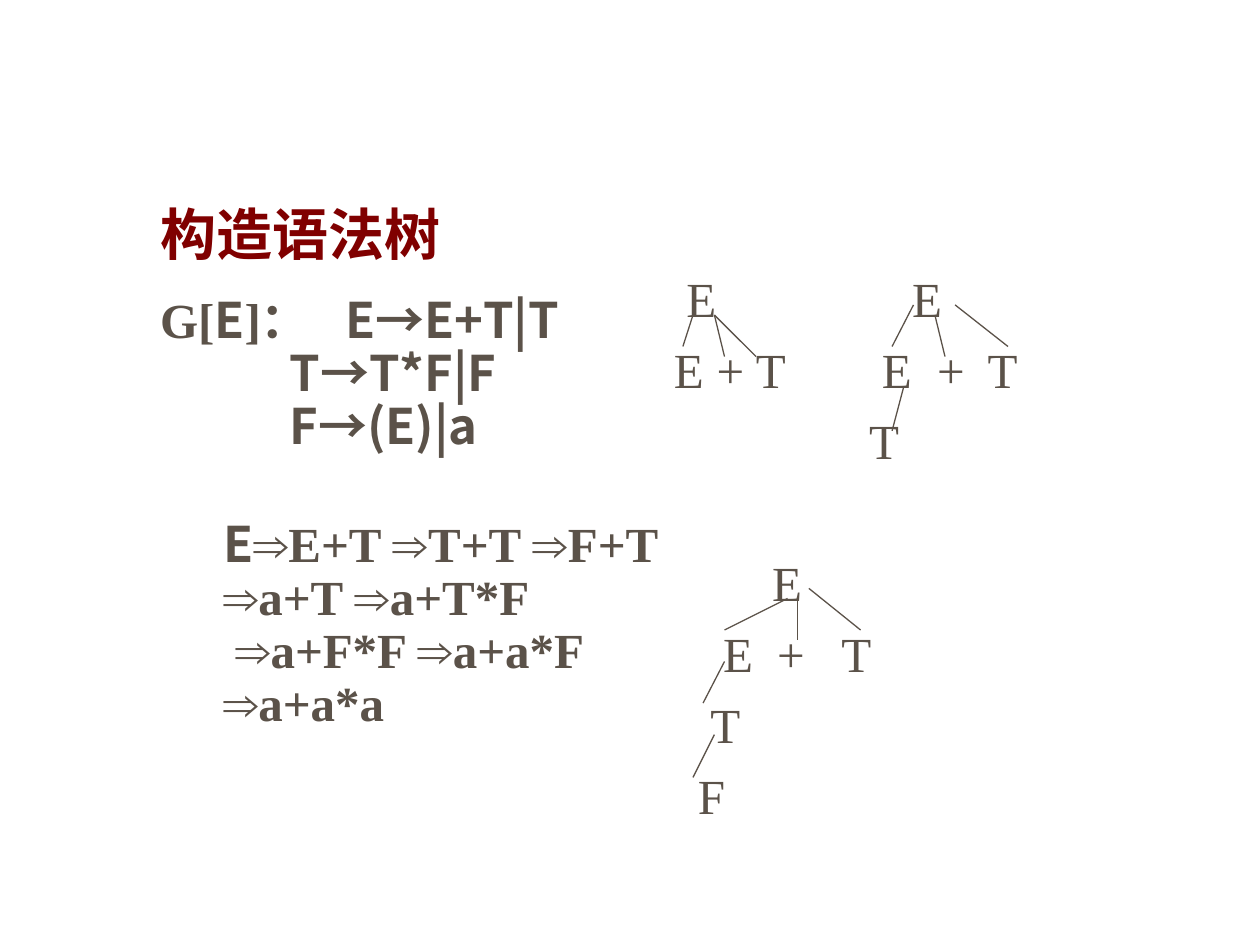
from lxml import etree
from pptx import Presentation
from pptx.dml.color import RGBColor
from pptx.enum.shapes import MSO_CONNECTOR
from pptx.enum.text import MSO_ANCHOR, MSO_AUTO_SIZE, PP_ALIGN
from pptx.oxml.ns import qn
from pptx.util import Inches, Pt

STRAIGHT = MSO_CONNECTOR.STRAIGHT
BOTTOM, TOP = MSO_ANCHOR.BOTTOM, MSO_ANCHOR.TOP
NO_AUTOFIT = MSO_AUTO_SIZE.NONE
LEFT = PP_ALIGN.LEFT

MAROON = RGBColor(0x80, 0x00, 0x00)
BROWN = RGBColor(0x5B, 0x52, 0x49)

SERIF = "Times New Roman"
CJK = "Noto Sans CJK SC"
SANS = "Arial"

TITLE_AND_CONTENT_LAYOUT = 1
TREES_LEFT, TREES_TOP = 5.25, 2.08
ROW_PITCH = 3.95 / 7
NODE_WIDTH = 0.5

# Row number, then the row's nodes as (label, distance from the left edge).
TREE_ROWS = [
    (0, [("E", 0.1), ("E", 1.89)]),
    (1, [("E", 0), ("+", 0.34), ("T", 0.65),
         ("E", 1.65), ("+", 2.09), ("T", 2.49)]),
    (2, [("T", 1.55)]),
    (4, [("E", 0.78)]),
    (5, [("E", 0.39), ("+", 0.82), ("T", 1.33)]),
    (6, [("T", 0.29)]),
    (7, [("F", 0.19)]),
]

BRANCHES = [
    (5.5, 2.5, 5.42, 2.75), (5.67, 2.5, 5.75, 2.83), (5.67, 2.5, 6, 2.83),
    (7.25, 2.42, 7.08, 2.75), (7.42, 2.5, 7.5, 2.83), (7.58, 2.42, 8, 2.75),
    (7.17, 3.08, 7.08, 3.42),
    (6.25, 4.75, 5.75, 5), (6.33, 4.75, 6.33, 5.08), (6.42, 4.67, 6.83, 5),
    (5.75, 5.25, 5.58, 5.58), (5.67, 5.83, 5.5, 6.17),
]

DERIVATION = ["E+T ", "T+T ", "F+T ", "a+T ", "a+T*F\v ",
              "a+F*F ", "a+a*F ", "a+a*a"]


def place(shape, left, top, width, height, anchor=TOP):
    shape.left, shape.top = Inches(left), Inches(top)
    shape.width, shape.height = Inches(width), Inches(height)
    frame = shape.text_frame
    frame.word_wrap = True
    frame.auto_size = NO_AUTOFIT
    frame.vertical_anchor = anchor
    return frame


def add_text(paragraph, text, font=SERIF, size=28, color=BROWN, bold=True,
             east_asian=None, spacing=0):
    """Append formatted text; a vertical tab in it becomes a line break.

    spacing is the extra width of each character in points.
    """
    for index, line in enumerate(text.split("\v")):
        if index:
            paragraph.add_line_break()
        run = paragraph.add_run()
        run.text = line
        run.font.name = font
        run.font.size = Pt(size)
        run.font.bold = bold
        run.font.color.rgb = color
        properties = run._r.get_or_add_rPr()
        if spacing:
            properties.set("spc", str(spacing * 100))
        if east_asian:
            etree.SubElement(properties, qn("a:ea"), typeface=east_asian)


def add_paragraph(frame, first=False, indent=0, before=0, line_spacing=1.0):
    """Return an unbulleted, left-aligned paragraph."""
    paragraph = frame.paragraphs[0] if first else frame.add_paragraph()
    paragraph.alignment = LEFT
    paragraph.line_spacing = line_spacing
    paragraph.space_before = Pt(before)
    properties = paragraph._p.get_or_add_pPr()
    properties.set("marL", str(Inches(indent)))
    properties.set("indent", "0")
    etree.SubElement(properties, qn("a:buNone"))
    return paragraph


def fill_grammar(frame):
    start = add_paragraph(frame, first=True, line_spacing=0.9)
    add_text(start, "G[")
    add_text(start, "E", font=CJK)
    add_text(start, "]：", east_asian=CJK)
    add_text(start, " ", spacing=14)
    add_text(start, "E→E+T|T", font=CJK, east_asian=CJK)
    for rule in ("T→T*F|F", "F→(E)|a"):
        paragraph = add_paragraph(frame, indent=1.03, line_spacing=0.9)
        add_text(paragraph, rule, font=CJK, east_asian=CJK)

    derivation = add_paragraph(frame, indent=0.5, before=37.5,
                               line_spacing=0.9)
    add_text(derivation, "E", font=CJK)
    for step in DERIVATION:
        add_text(derivation, "⇒", font=SANS)
        add_text(derivation, step)


def add_node(slide, label, left, top):
    box = slide.shapes.add_textbox(0, 0, 0, 0)
    frame = place(box, left, top, NODE_WIDTH, ROW_PITCH)
    add_text(add_paragraph(frame, first=True), label, bold=False)


def add_branch(slide, *ends):
    branch = slide.shapes.add_connector(STRAIGHT, *map(Inches, ends))
    branch.line.color.rgb = BROWN
    branch.line.width = Pt(0.75)
    etree.SubElement(branch._element.spPr, qn("a:effectLst"))


def main():
    presentation = Presentation()
    presentation.slide_width = Inches(10)
    presentation.slide_height = Inches(7.5)
    layout = presentation.slide_layouts[TITLE_AND_CONTENT_LAYOUT]
    slide = presentation.slides.add_slide(layout)
    title, grammar = slide.placeholders

    title_frame = place(title, 1.17, 0.92, 8.5, 1.25, anchor=BOTTOM)
    add_text(add_paragraph(title_frame, first=True), "构造语法树", size=32,
             color=MAROON, east_asian=CJK)
    fill_grammar(place(grammar, 1.17, 2.3, 4.17, 4.5))
    for row, nodes in TREE_ROWS:
        for label, offset in nodes:
            add_node(slide, label, TREES_LEFT + offset,
                     TREES_TOP + row * ROW_PITCH)
    for ends in BRANCHES:
        add_branch(slide, *ends)

    presentation.save("out.pptx")


if __name__ == "__main__":
    main()
